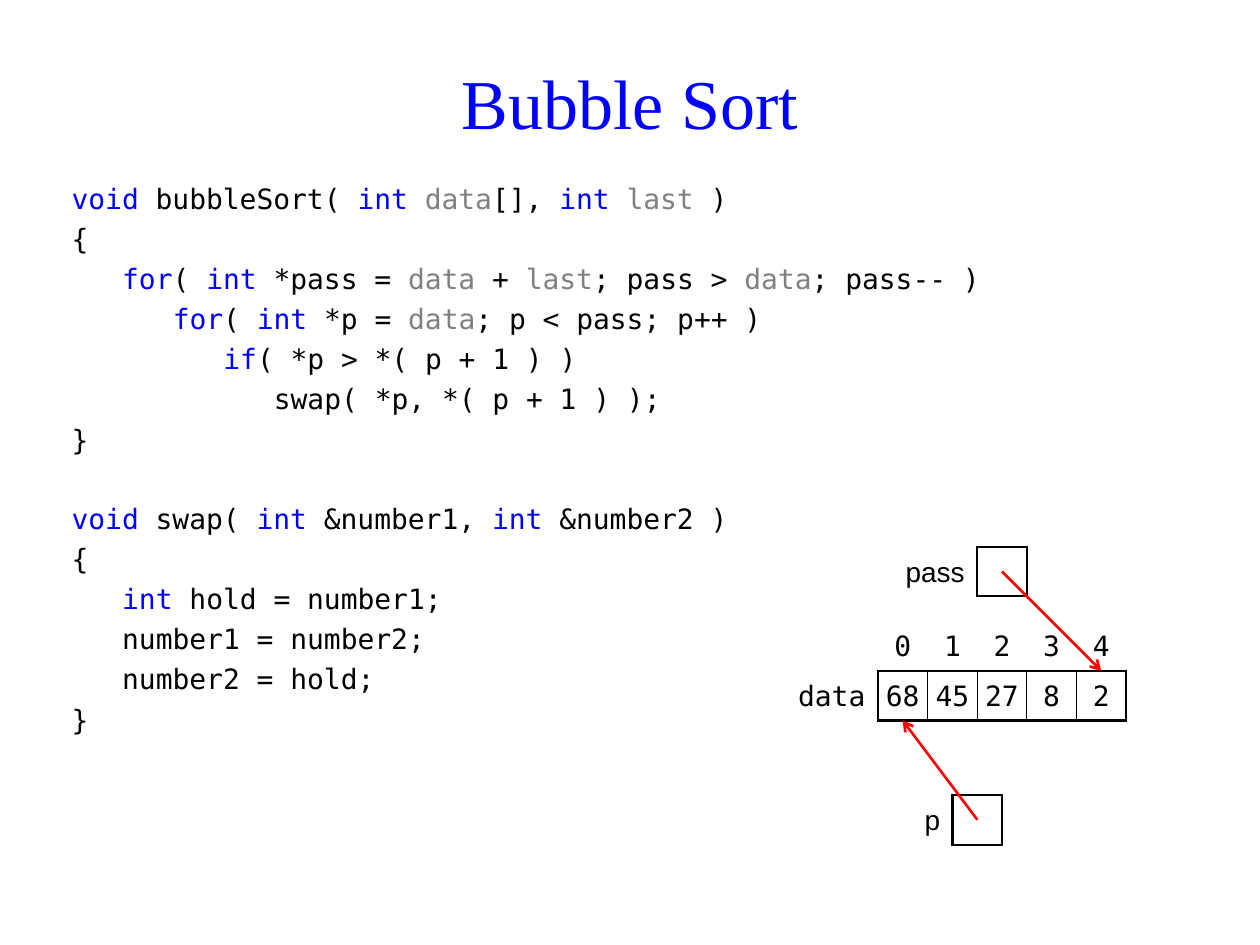
import itertools
from dataclasses import dataclass

import pptx
import pptx.dml.color
import pptx.enum.shapes
import pptx.enum.text
import pptx.oxml
import pptx.oxml.ns
import pptx.util
from pptx.util import Pt

ALIGN = pptx.enum.text.PP_ALIGN
MIDDLE = pptx.enum.text.MSO_ANCHOR.MIDDLE
MONO, SANS, SERIF = "DejaVu Sans Mono", "Arial", "Times New Roman"
BLACK, BLUE, GRAY, RED, WHITE = "000000", "0000FF", "808080", "FF0000", "FFFFFF"
NO_STYLE = "{2D5ABB26-0587-4C30-8999-92F81FD0307C}"
THICK, THIN = 1.5, 0.75

CELL = 28.35
LABEL = 2 * CELL
CODE_SIZE = 16
INDENT = 28.9  # three monospaced characters
LINE_GAP, FUNCTION_GAP = 3.73, 26.1
WORD_COLOURS = {"void": BLUE, "int": BLUE, "for": BLUE, "if": BLUE,
                "data": GRAY, "last": GRAY}
VALUES = [68, 45, 27, 8, 2]


@dataclass
class CodeLine:
    level: int
    text: str
    gap: float = LINE_GAP


@dataclass
class Pointer:
    """A labelled one-cell variable whose arrow ends at a data cell."""
    name: str
    left: float
    top: float
    label_width: float
    target: tuple[float, float]


CODE = [
    CodeLine(0, "void bubbleSort( int data[], int last )", 0),
    CodeLine(0, "{"),
    CodeLine(1, "for( int *pass = data + last; pass > data; pass-- )"),
    CodeLine(2, "for( int *p = data; p < pass; p++ )"),
    CodeLine(3, "if( *p > *( p + 1 ) )"),
    CodeLine(4, "swap( *p, *( p + 1 ) );"),
    CodeLine(0, "}"),
    CodeLine(0, "void swap( int &number1, int &number2 )", FUNCTION_GAP),
    CodeLine(0, "{"),
    CodeLine(1, "int hold = number1;"),
    CodeLine(1, "number1 = number2;"),
    CodeLine(1, "number2 = hold;"),
    CodeLine(0, "}"),
]

ARRAY_LEFT, ARRAY_TOP = 445, 355
DATA_LEFT, DATA_TOP = ARRAY_LEFT + LABEL, ARRAY_TOP + CELL
POINTERS = [
    Pointer("pass", 501.7, 312.4, LABEL, (DATA_LEFT + 4.5 * CELL, DATA_TOP)),
    Pointer("p", 516, 454.3, CELL, (DATA_LEFT + 0.5 * CELL, DATA_TOP + CELL)),
]


def colour(value: str) -> pptx.dml.color.RGBColor:
    return pptx.dml.color.RGBColor.from_string(value)


def set_font(font, name: str, size: float) -> None:
    font.name, font.size = name, Pt(size)


def add_text_box(page, left: float, top: float, width: float, height: float):
    box = page.shapes.add_textbox(Pt(left), Pt(top), Pt(width), Pt(height))
    box.text_frame.word_wrap = True
    return box.text_frame


def add_title(page, text: str) -> None:
    frame = add_text_box(page, 33.84, 20.16, 652.32, 68.4)
    frame.vertical_anchor = MIDDLE
    frame.margin_top = Pt(10.4)
    para = frame.paragraphs[0]
    para.text = text
    para.alignment = ALIGN.CENTER
    set_font(para.font, SERIF, 40)
    para.font.color.rgb = colour(BLUE)


def add_code(page, lines: list[CodeLine]) -> None:
    frame = add_text_box(page, 33.84, 100.1, 538.56, 354.24)
    for number, line in enumerate(lines):
        para = frame.add_paragraph() if number else frame.paragraphs[0]
        para.space_before = Pt(line.gap)
        para._p.get_or_add_pPr().set("marL", str(Pt(line.level * INDENT)))
        set_font(para.font, MONO, CODE_SIZE)
        words = ("".join(group) for _, group in itertools.groupby(line.text, str.isalnum))
        for shade, group in itertools.groupby(words, lambda word: WORD_COLOURS.get(word, BLACK)):
            span = para.add_run()
            span.text = "".join(group)
            span.font.color.rgb = colour(shade)


def add_plain_table(page, left: float, top: float, widths: list[float], rows: int):
    table = page.shapes.add_table(rows, len(widths), Pt(left), Pt(top),
                                  Pt(sum(widths)), Pt(rows * CELL)).table
    table.first_row = table.horz_banding = False
    table._tbl.tblPr.find(pptx.oxml.ns.qn("a:tableStyleId")).text = NO_STYLE
    for column, width in zip(table.columns, widths):
        column.width = Pt(width)
    for row in table.rows:
        row.height = Pt(CELL)
    for cell in table.iter_cells():
        cell.vertical_anchor = MIDDLE
        cell.margin_top, cell.margin_bottom = Pt(1.44), 0
        cell.fill.background()
    return table


def write_cell(cell, text: str, font: str, alignment, margin: float) -> None:
    cell.margin_left = cell.margin_right = Pt(margin)
    para = cell.text_frame.paragraphs[0]
    para.text = text
    para.alignment = alignment
    set_font(para.font, font, CODE_SIZE)
    para.font.color.rgb = colour(BLACK)


def box_cell(cell, left: float = THICK, right: float = THICK) -> None:
    """Fill a cell white and border it; top and bottom are always thick."""
    properties = cell._tc.get_or_add_tcPr()
    cell.fill.background()
    edges = {"L": left, "R": right, "T": THICK, "B": THICK}
    for position, (side, width) in enumerate(edges.items()):
        properties.insert(position, pptx.oxml.parse_xml(
            f'<a:ln{side} {pptx.oxml.ns.nsdecls("a")} w="{Pt(width)}"><a:solidFill>'
            f'<a:srgbClr val="{BLACK}"/></a:solidFill></a:ln{side}>'))
    cell.fill.solid()
    cell.fill.fore_color.rgb = colour(WHITE)


def add_array(page, values: list[int]) -> None:
    widths = [LABEL] + [CELL] * len(values)
    table = add_plain_table(page, ARRAY_LEFT, ARRAY_TOP, widths, 2)
    write_cell(table.cell(1, 0), "data", MONO, ALIGN.RIGHT, 7.2)
    for index, value in enumerate(values):
        write_cell(table.cell(0, index + 1), str(index), MONO, ALIGN.CENTER, 2.88)
        cell = table.cell(1, index + 1)
        write_cell(cell, str(value), MONO, ALIGN.CENTER, 2.88)
        box_cell(cell, THIN if index else THICK,
                 THIN if index < len(values) - 1 else THICK)


def add_pointer(page, pointer: Pointer) -> None:
    table = add_plain_table(page, pointer.left, pointer.top, [pointer.label_width, CELL], 1)
    label = table.cell(0, 0)
    write_cell(label, pointer.name, SANS, ALIGN.RIGHT, 7.2)
    label.margin_top, label.margin_bottom = Pt(2.88), Pt(1.44)
    box_cell(table.cell(0, 1))


def add_arrow(page, pointer: Pointer) -> None:
    start = (pointer.left + pointer.label_width + CELL / 2, pointer.top + CELL / 2)
    arrow = page.shapes.add_connector(pptx.enum.shapes.MSO_CONNECTOR.STRAIGHT,
                                      *map(Pt, start + pointer.target))
    arrow.line.color.rgb = colour(RED)
    arrow.line.width = Pt(THICK)
    namespace = pptx.oxml.ns.nsdecls("a")
    arrow.line._get_or_add_ln().append(
        pptx.oxml.parse_xml(f'<a:tailEnd {namespace} type="arrow"/>'))
    arrow._element.spPr.append(pptx.oxml.parse_xml(f"<a:effectLst {namespace}/>"))


def main() -> None:
    deck = pptx.Presentation()
    deck.slide_width, deck.slide_height = Pt(720), Pt(540)
    page = deck.slides.add_slide(deck.slide_layouts[6])
    add_title(page, "Bubble Sort")
    add_code(page, CODE)
    add_array(page, VALUES)
    for pointer in POINTERS:
        add_pointer(page, pointer)
    for pointer in POINTERS:
        add_arrow(page, pointer)
    deck.save("out.pptx")


if __name__ == "__main__":
    main()
